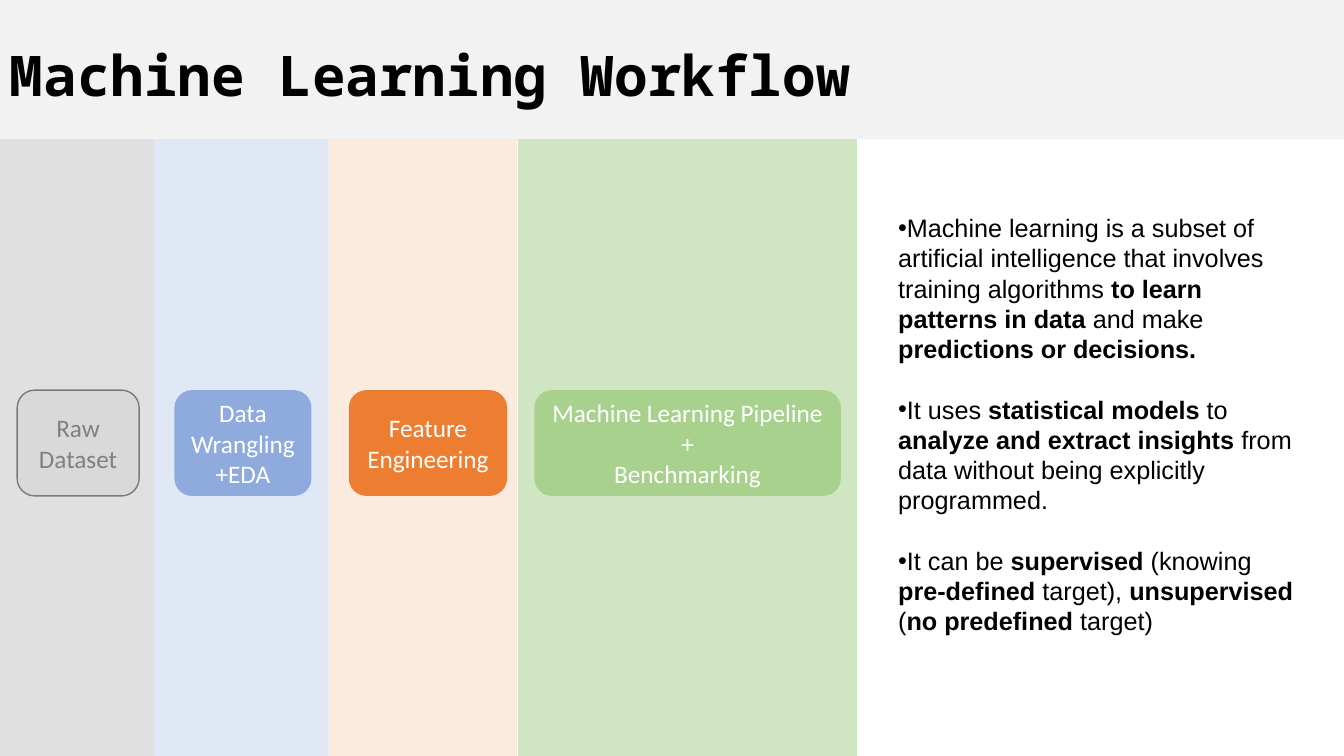
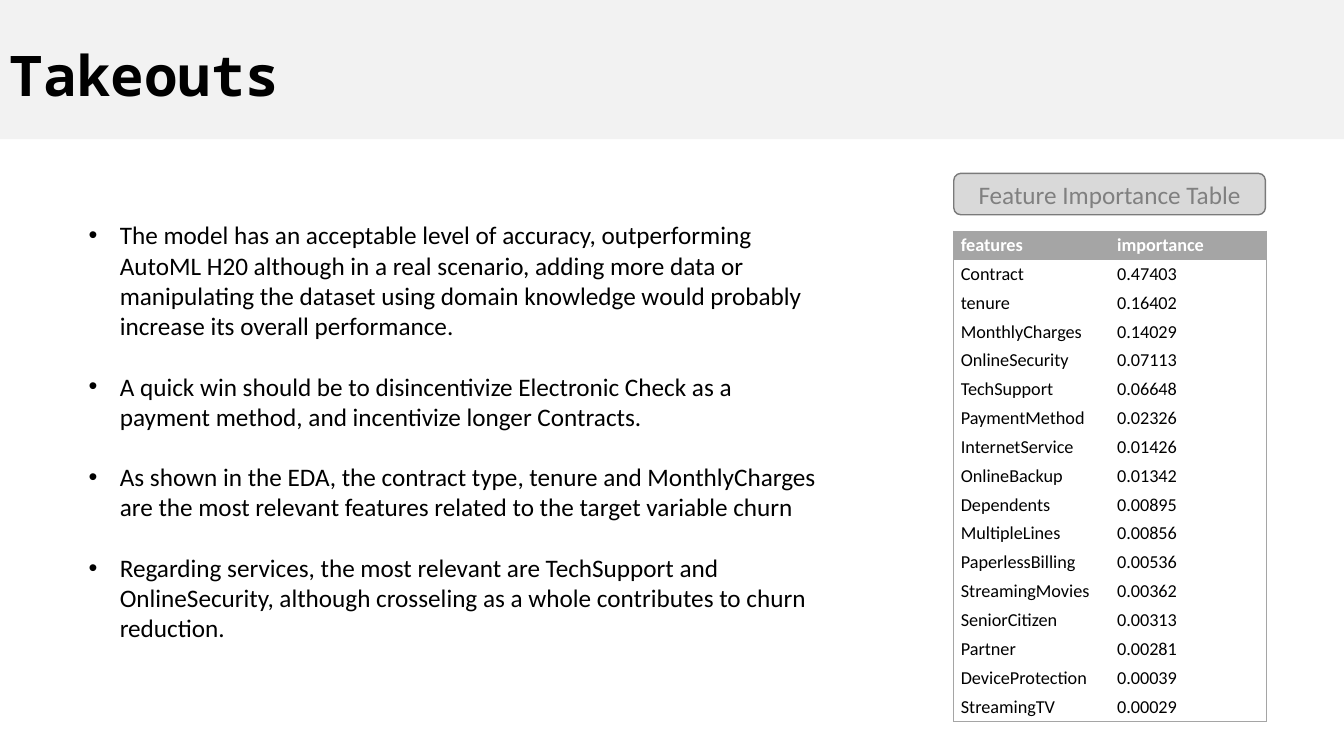
from lxml import etree
from pptx import Presentation
from pptx import util as u
from pptx.dml.color import RGBColor
from pptx.enum import shapes, text
from pptx.oxml import ns

RECT = shapes.MSO_SHAPE.RECTANGLE
ROUND = shapes.MSO_SHAPE.ROUNDED_RECTANGLE
LEFT = text.PP_ALIGN.LEFT
MID = text.PP_ALIGN.CENTER
BLACK, WHITE = "000000", "FFFFFF"
PALE, GREY, EDGE, SOFT, RULE = "F2F2F2", "D9D9D9", "7A7A7A", "808080", "A5A5A5"


def write(frame, lines, color, font="Calibri", size=18, bold=False,
          align=LEFT, bullet=False, indent=0, gap=0):
    frame.word_wrap = True
    for i, line in enumerate(lines):
        par = frame.paragraphs[0] if i == 0 else frame.add_paragraph()
        par.alignment = align
        if i and gap:
            par.space_before = u.Pt(gap)
        if bullet:
            props = par._p.get_or_add_pPr()
            props.set("marL", str(u.Inches(indent)))
            props.set("indent", str(-u.Inches(indent)))
            etree.SubElement(props, ns.qn("a:buFont"), typeface="Arial")
            etree.SubElement(props, ns.qn("a:buChar"), char="•")
        for j, part in enumerate(line.split("*")):
            if part:
                run = par.add_run()
                run.text = part
                run.font.name = font
                run.font.size = u.Pt(size)
                run.font.bold = bold or j % 2 == 1
                run.font.color.rgb = RGBColor.from_string(color)


def block(slide, kind, x, y, w, h, fill, line=None, alpha=100):
    shape = slide.shapes.add_shape(
        kind, u.Inches(x), u.Inches(y), u.Inches(w), u.Inches(h))
    shape.shadow.inherit = False
    shape.fill.solid()
    shape.fill.fore_color.rgb = RGBColor.from_string(fill)
    if alpha < 100:
        tint = shape._element.spPr.find(".//" + ns.qn("a:srgbClr"))
        etree.SubElement(tint, ns.qn("a:alpha"), val=str(alpha * 1000))
    if line:
        shape.line.color.rgb = RGBColor.from_string(line)
        shape.line.width = u.Pt(1)
    else:
        shape.line.fill.background()
    shape.text_frame.vertical_anchor = text.MSO_ANCHOR.MIDDLE
    return shape


deck = Presentation()
deck.slide_width, deck.slide_height = u.Inches(13.33), u.Inches(7.5)

pages = []
for title in ["Machine Learning Workflow", "Takeouts"]:
    page = deck.slides.add_slide(deck.slide_layouts[6])
    band = block(page, RECT, 0, 0, 13.33, 1.38, PALE)
    band.text_frame.margin_top = u.Inches(0.13)
    write(band.text_frame, [title], BLACK, "Noto Sans Mono", 40, True)
    pages.append(page)
flow, ends = pages

stages = [
    (0, 1.53, GREY, 0.17, 1.21, GREY, EDGE, SOFT, ["Raw Dataset"]),
    (1.53, 1.73, "DAE3F3", 1.73, 1.36, "8FAADC", None, WHITE,
     ["Data Wrangling +EDA"]),
    (3.26, 1.87, "FBE5D6", 3.46, 1.57, "ED7D31", None, WHITE,
     ["Feature Engineering"]),
    (5.14, 3.36, "C5E0B4", 5.3, 3.04, "A9D18E", None, WHITE,
     ["Machine Learning Pipeline", "+", "Benchmarking"]),
]
for left, wide, tint, x, w, fill, line, ink, words in stages:
    block(flow, RECT, left, 1.38, wide, 6.12, tint, alpha=80)
    step = block(flow, ROUND, x, 3.87, w, 1.05, fill, line)
    write(step.text_frame, words, ink, align=MID)

facts = [
    "Machine learning is a subset of artificial intelligence that involves "
    "training algorithms *to learn patterns in data* and make "
    "*predictions or decisions.*",
    "It uses *statistical models *to *analyze and extract insights *from data "
    "without being explicitly programmed.",
    "It can be *supervised* (knowing *pre-defined* target), *unsupervised* "
    "(*no predefined *target)",
]
notes = [
    "The model has an acceptable level of accuracy, outperforming AutoML H20 "
    "although in a real scenario, adding more data or manipulating the dataset "
    "using domain knowledge would probably increase its overall performance.",
    "A quick win should be to disincentivize Electronic Check as a payment "
    "method, and incentivize longer Contracts.",
    "As shown in the EDA, the contract type, tenure and MonthlyCharges are the "
    "most relevant features related to the target variable churn",
    "Regarding services, the most relevant are TechSupport and OnlineSecurity, "
    "although crosseling as a whole contributes to churn reduction.",
]
for page, x, y, w, h, lines, font, indent in [
    (flow, 8.81, 2.06, 4.21, 4.34, facts, "Arial", 0),
    (ends, 0.78, 2.13, 7.52, 4.64, notes, "Calibri", 0.31),
]:
    area = page.shapes.add_textbox(
        u.Inches(x), u.Inches(y), u.Inches(w), u.Inches(h))
    write(area.text_frame, lines, BLACK, font, bullet=True,
          indent=indent, gap=21.6)

label = block(ends, ROUND, 9.46, 1.72, 3.09, 0.41, GREY, EDGE)
write(label.text_frame, ["Feature Importance Table"], SOFT, align=MID)

rows = [
    ("features", "importance"),
    ("Contract", "0.47403"),
    ("tenure", "0.16402"),
    ("MonthlyCharges", "0.14029"),
    ("OnlineSecurity", "0.07113"),
    ("TechSupport", "0.06648"),
    ("PaymentMethod", "0.02326"),
    ("InternetService", "0.01426"),
    ("OnlineBackup", "0.01342"),
    ("Dependents", "0.00895"),
    ("MultipleLines", "0.00856"),
    ("PaperlessBilling", "0.00536"),
    ("StreamingMovies", "0.00362"),
    ("SeniorCitizen", "0.00313"),
    ("Partner", "0.00281"),
    ("DeviceProtection", "0.00039"),
    ("StreamingTV", "0.00029"),
]
last = len(rows) - 1
grid = ends.shapes.add_table(
    len(rows), 2, u.Inches(9.46), u.Inches(2.29),
    u.Inches(3.1), u.Inches(4.87)).table
grid.first_row = grid.horz_banding = False
style = grid._tbl.tblPr.find(ns.qn("a:tableStyleId"))
style.text = "{2D5ABB26-0587-4C30-8999-92F81FD0307C}"
for r, row in enumerate(rows):
    for c, word in enumerate(row):
        cell = grid.cell(r, c)
        cell.margin_left = cell.margin_right = u.Inches(0.07)
        cell.margin_top = cell.margin_bottom = u.Inches(0.03)
        cell.vertical_anchor = text.MSO_ANCHOR.MIDDLE
        head = r == 0
        write(cell.text_frame, [word], WHITE if head else BLACK,
              size=13, bold=head)
        props = cell._tc.get_or_add_tcPr()
        for side, shown in [("lnL", c == 0), ("lnR", c == 1),
                            ("lnT", head), ("lnB", r == last)]:
            if shown:
                edge = etree.SubElement(
                    props, ns.qn("a:" + side), w=str(u.Pt(0.5)))
                paint = etree.SubElement(edge, ns.qn("a:solidFill"))
                etree.SubElement(paint, ns.qn("a:srgbClr"), val=RULE)
        if head:
            cell.fill.solid()
            cell.fill.fore_color.rgb = RGBColor.from_string(RULE)
        else:
            cell.fill.background()

deck.save("out.pptx")
